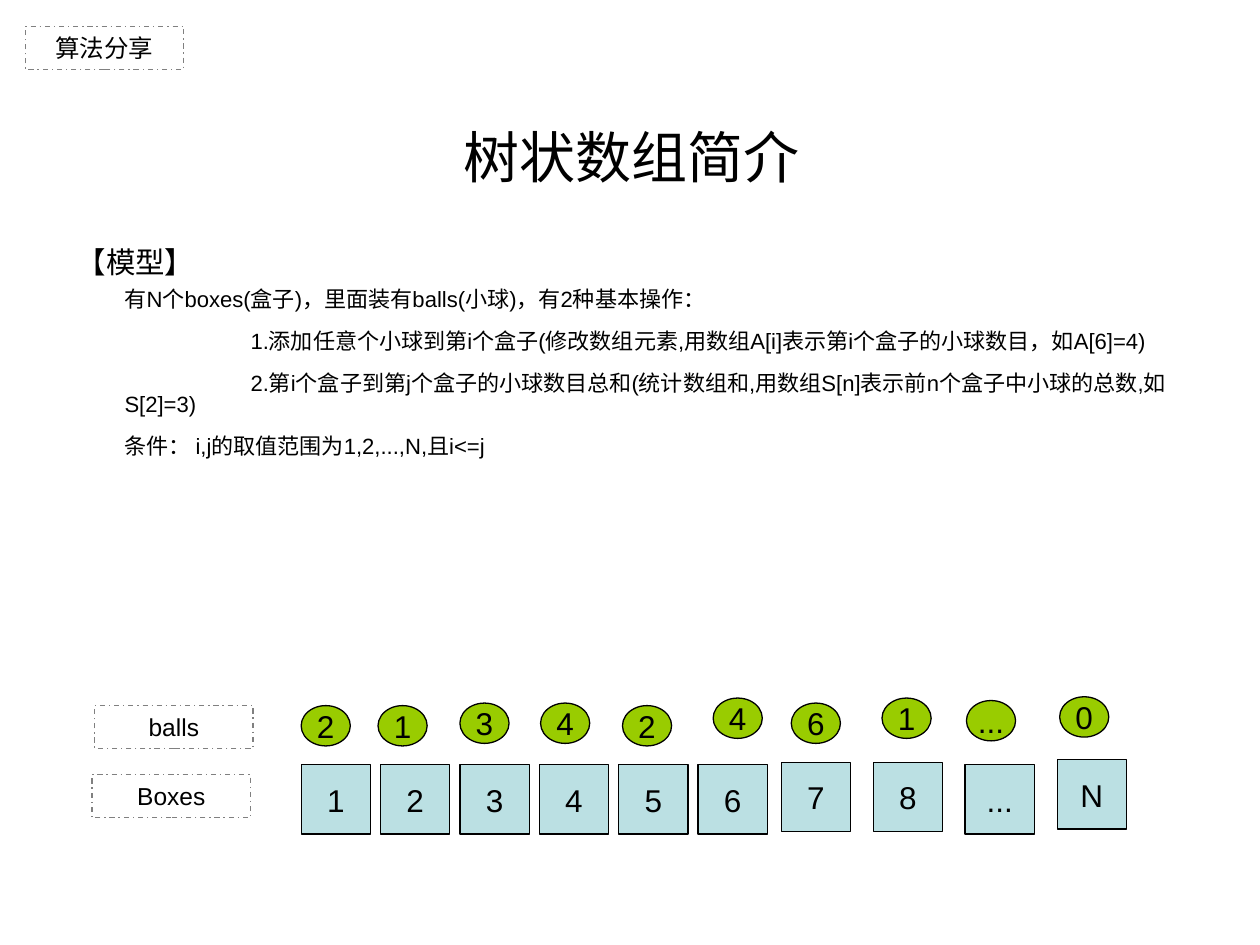
from pptx import Presentation
from pptx import util as u
from pptx.dml.color import RGBColor
from pptx.enum import dml, shapes, text

COLORS = {"ink": "000000", "label": "808080", "box": "BBE0E3", "ball": "99CC00"}
FONT = "Arial"
TITLE = "树状数组简介"

BODY = [
    ("【模型】", 16.8, 0, 0, 0),
    ("有N个boxes(盒子)，里面装有balls(小球)，有2种基本操作：", 12.6, 0.38, 0, 6.5),
    ("1.添加任意个小球到第i个盒子(修改数组元素,用数组A[i]表示第i个盒子的小球数目，如A[6]=4)",
     12.6, 0.38, 1, 12),
    ("2.第i个盒子到第j个盒子的小球数目总和(统计数组和,用数组S[n]表示前n个盒子中小球的总数,如S[2]=3)",
     12.6, 0.38, 1, 12),
    ("条件： i,j的取值范围为1,2,...,N,且i<=j", 12.6, 0.38, 0, 12),
]
LABELS = [("算法分享", 0.2, 0.21), ("Boxes", 0.73, 6.15), ("balls", 0.75, 5.6)]
BOXES = ["1", "2", "3", "4", "5", "6", "7", "8", "...", "N"]
BOX_TOPS = [6.07] * 6 + [6.05, 6.05, 6.07, 6.03]
BOX_SIZE, NEAR_STEP, FAR_STEP, NEAR_COUNT = 0.55, 0.63, 0.73, 6
BOX_LEFT, FAR_LEFT = 2.39, 6.2
BALLS = [
    ("2", 2.39, 5.6), ("1", 3, 5.6), ("3", 3.65, 5.58), ("4", 4.29, 5.58),
    ("2", 4.94, 5.6), ("4", 5.66, 5.54), ("6", 6.28, 5.58), ("1", 7, 5.54),
    ("...", 7.67, 5.56), ("0", 8.41, 5.53),
]


def color(name):
    return RGBColor.from_string(COLORS[name])


def write(p, words, size, align):
    p.alignment = align
    r = p.add_run()
    r.text = words
    for key, value in {"name": FONT, "size": u.Pt(size)}.items():
        setattr(r.font, key, value)
    r.font.color.rgb = color("ink")


def place(sp, left, top, width, height):
    for key, value in zip(("left", "top", "width", "height"), (left, top, width, height)):
        setattr(sp, key, u.Inches(value))


def add_shape(s, kind, words, frame, size, line, fill=None, **layout):
    sp = s.shapes.add_shape(kind, *map(u.Inches, frame))
    sp.shadow.inherit = False
    if fill:
        sp.fill.solid()
        sp.fill.fore_color.rgb = color(fill)
    else:
        sp.fill.background()
    sp.line.color.rgb = color(line)
    sp.line.width = u.Pt(0.75)
    for key, value in layout.items():
        setattr(sp.text_frame, key, value)
    write(sp.text_frame.paragraphs[0], words, size, text.PP_ALIGN.CENTER)
    return sp


def add_body(s):
    tf = s.shapes.add_textbox(*map(u.Inches, (0.51, 1.94, 9.29, 3.07))).text_frame
    tf.word_wrap = True
    for i, (words, size, left, indent, before) in enumerate(BODY):
        p = tf.add_paragraph() if i else tf.paragraphs[0]
        p.line_spacing = 0.8
        p.space_before = u.Pt(before)
        pPr = p._p.get_or_add_pPr()
        pPr.set("marL", str(u.Inches(left)))
        pPr.set("indent", str(u.Inches(indent)))
        write(p, words, size, text.PP_ALIGN.LEFT)


def main():
    prs = Presentation()
    prs.slide_width, prs.slide_height = u.Inches(10), u.Inches(7.5)
    s = prs.slides.add_slide(prs.slide_layouts[5])
    title = s.shapes.title
    place(title, 0.51, 0.84, 9, 0.79)
    title.text_frame.vertical_anchor = text.MSO_ANCHOR.MIDDLE
    write(title.text_frame.paragraphs[0], TITLE, 32, text.PP_ALIGN.CENTER)
    add_body(s)

    rect, oval = shapes.MSO_SHAPE.RECTANGLE, shapes.MSO_SHAPE.OVAL
    for words, left, top in LABELS:
        sp = add_shape(s, rect, words, (left, top, 1.26, 0.34), 14, "label",
                       vertical_anchor=text.MSO_ANCHOR.TOP, word_wrap=True,
                       auto_size=text.MSO_AUTO_SIZE.SHAPE_TO_FIT_TEXT)
        sp.line.dash_style = dml.MSO_LINE.DASH_DOT

    centred = {"vertical_anchor": text.MSO_ANCHOR.MIDDLE, "word_wrap": False}
    lefts = [BOX_LEFT + i * NEAR_STEP if i < NEAR_COUNT
             else FAR_LEFT + (i - NEAR_COUNT) * FAR_STEP for i in range(len(BOXES))]
    for words, left, top in zip(BOXES, lefts, BOX_TOPS):
        add_shape(s, rect, words, (left, top, BOX_SIZE, BOX_SIZE), 18, "ink", "box", **centred)
    for words, left, top in BALLS:
        add_shape(s, oval, words, (left, top, 0.39, 0.32), 18, "ink", "ball", **centred)
    prs.save("out.pptx")


if __name__ == "__main__":
    main()
